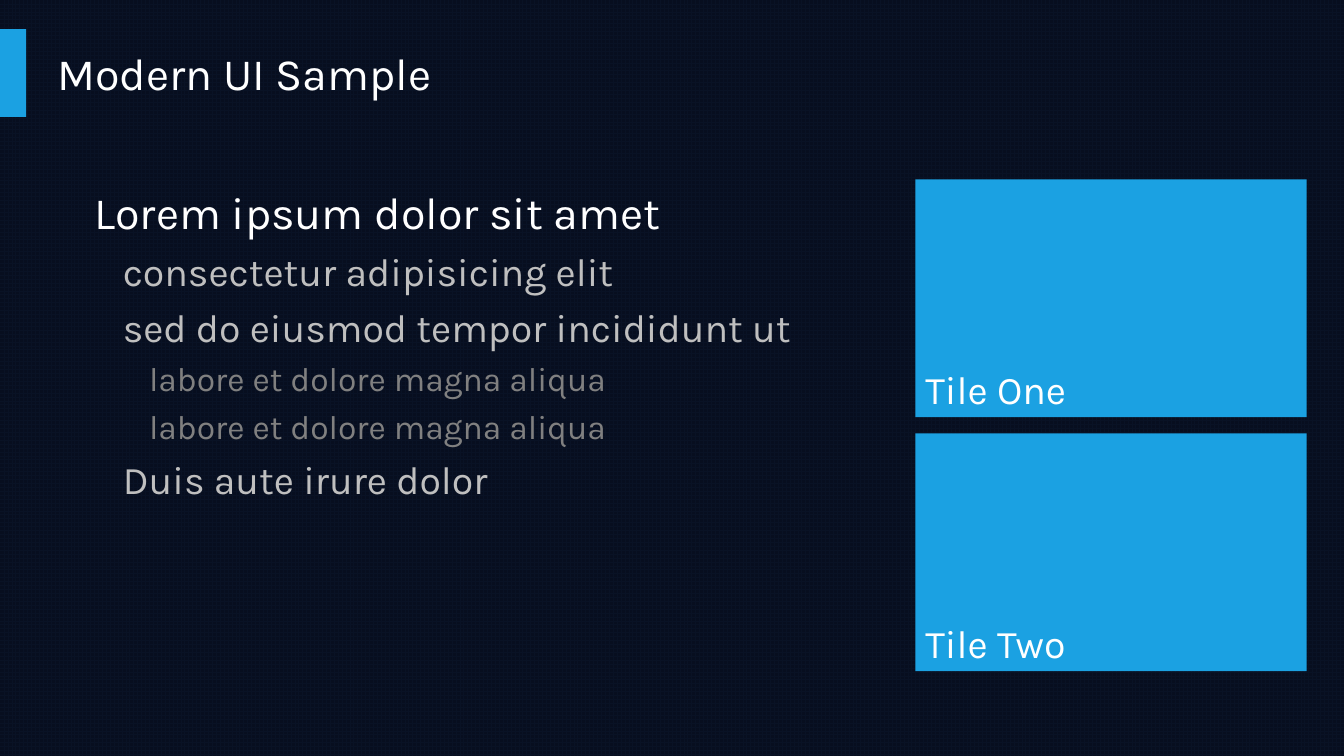
import pptx
import pptx.dml.color
import pptx.enum.dml
import pptx.enum.shapes
import pptx.enum.text
import pptx.util

Inches = pptx.util.Inches
ANCHOR = pptx.enum.text.MSO_ANCHOR

ACCENT = "1BA1E2"
WHITE = "FFFFFF"
LEVELS = [
    {"size": 32, "color": WHITE, "indent": 0},
    {"size": 28, "color": "BFBFBF", "indent": 0.28},
    {"size": 24, "color": "808080", "indent": 0.54},
]
OUTLINE = [
    (0, "Lorem ipsum dolor sit amet"),
    (1, "consectetur adipisicing elit"),
    (1, "sed do eiusmod tempor incididunt ut"),
    (2, "labore et dolore magna aliqua"),
    (2, "labore et dolore magna aliqua"),
    (1, "Duis aute irure dolor"),
]
TILES = ["Tile One", "Tile Two"]
TILE_TOP = 1.78
TILE_PITCH = 2.52
SPACE_RATIO = 0.23


def rgb(color):
    """Turn a hex string into a colour."""
    return pptx.dml.color.RGBColor.from_string(color)


def apply_format(target, values):
    """Set each named attribute on the target."""
    for name, value in values.items():
        setattr(target, name, value)


def set_background(slide):
    """Give the slide its dark grid pattern."""
    fill = slide.background.fill
    fill.patterned()
    fill.pattern = pptx.enum.dml.MSO_PATTERN.LARGE_GRID
    fill.fore_color.rgb = rgb("091225")
    fill.back_color.rgb = rgb("070E1F")


def write_paragraph(paragraph, text, size, color, space_ratio=SPACE_RATIO):
    """Write one left-aligned line of text in the slide font."""
    apply_format(paragraph, {
        "alignment": pptx.enum.text.PP_ALIGN.LEFT,
        "space_before": pptx.util.Pt(round(size * space_ratio, 1)),
    })
    run = paragraph.add_run()
    run.text = text
    apply_format(run.font, {"name": "Karla", "size": pptx.util.Pt(size)})
    run.font.color.rgb = rgb(color)


def prepare_frame(shape, anchor):
    """Make the text frame wrap at a fixed size and return it."""
    apply_format(shape.text_frame, {
        "word_wrap": True,
        "auto_size": pptx.enum.text.MSO_AUTO_SIZE.NONE,
        "vertical_anchor": anchor,
    })
    return shape.text_frame


def add_block(slide, left, top, width, height):
    """Add a plain accent rectangle."""
    shape = slide.shapes.add_shape(
        pptx.enum.shapes.MSO_SHAPE.RECTANGLE,
        Inches(left), Inches(top), Inches(width), Inches(height))
    shape.shadow.inherit = False
    shape.fill.solid()
    shape.fill.fore_color.rgb = rgb(ACCENT)
    shape.line.fill.background()
    return shape


def set_title(slide, text):
    """Move the title placeholder and write the title."""
    title = slide.shapes.title
    apply_format(title, {
        "left": Inches(0.47), "top": Inches(0.29),
        "width": Inches(9.45), "height": Inches(0.85),
    })
    frame = prepare_frame(title, ANCHOR.MIDDLE)
    write_paragraph(frame.paragraphs[0], text, 32, WHITE, 0)


def add_tile(slide, top, text):
    """Add a tile with its label at the bottom."""
    tile = add_block(slide, 9.08, top, 3.88, 2.36)
    frame = prepare_frame(tile, ANCHOR.BOTTOM)
    write_paragraph(frame.paragraphs[0], text, 28, WHITE)


def add_outline(slide, items):
    """Add the indented outline text."""
    box = slide.shapes.add_textbox(
        Inches(0.84), Inches(1.78), Inches(7.8), Inches(4.95))
    frame = prepare_frame(box, ANCHOR.TOP)
    for index, (level, text) in enumerate(items):
        paragraph = frame.add_paragraph() if index else frame.paragraphs[0]
        style = LEVELS[level]
        paragraph.level = level
        properties = paragraph._p.get_or_add_pPr()
        properties.set("marL", str(Inches(style["indent"])))
        properties.set("indent", "0")
        write_paragraph(paragraph, text, style["size"], style["color"])


def main():
    """Build and save the slide."""
    presentation = pptx.Presentation()
    presentation.slide_width = Inches(13.33)
    presentation.slide_height = Inches(7.5)
    slide = presentation.slides.add_slide(presentation.slide_layouts[5])
    set_background(slide)
    add_block(slide, 0, 0.29, 0.26, 0.87)
    set_title(slide, "Modern UI Sample")
    for index, text in enumerate(TILES):
        add_tile(slide, TILE_TOP + index * TILE_PITCH, text)
    add_outline(slide, OUTLINE)
    presentation.save("out.pptx")


if __name__ == "__main__":
    main()
